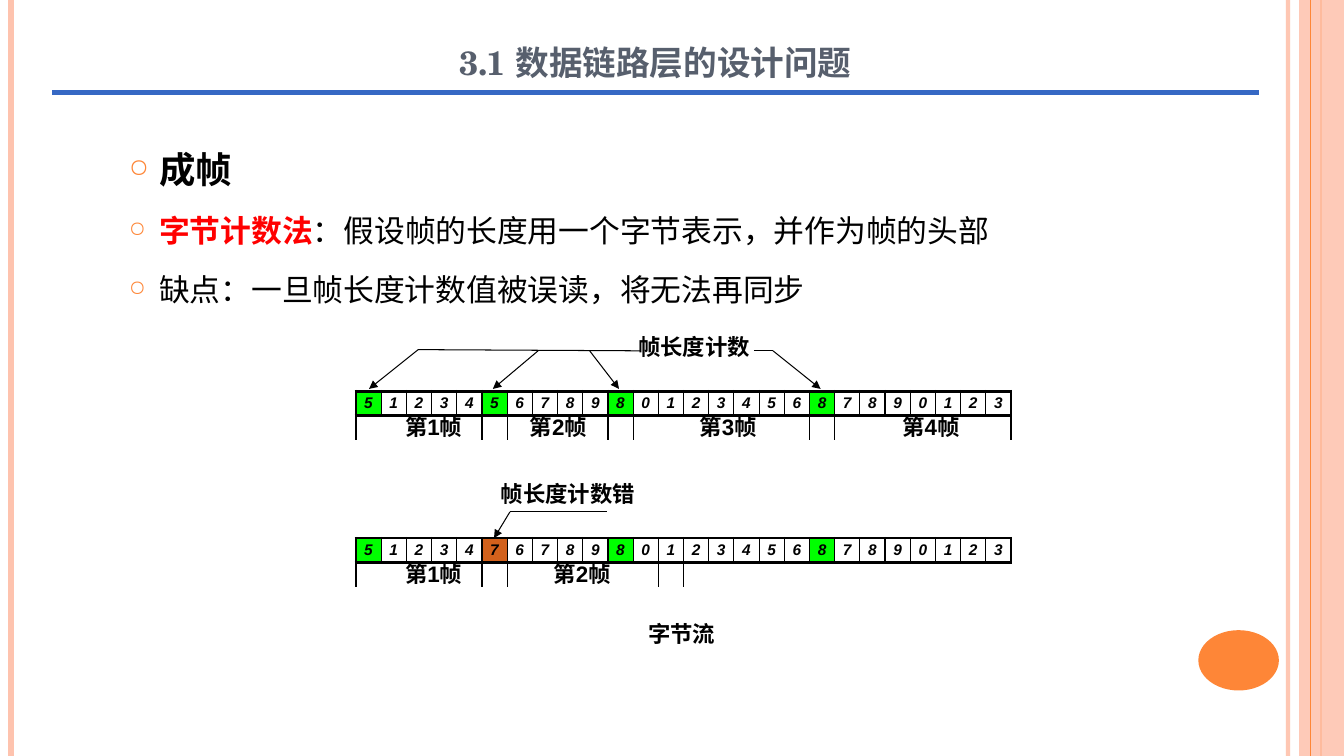
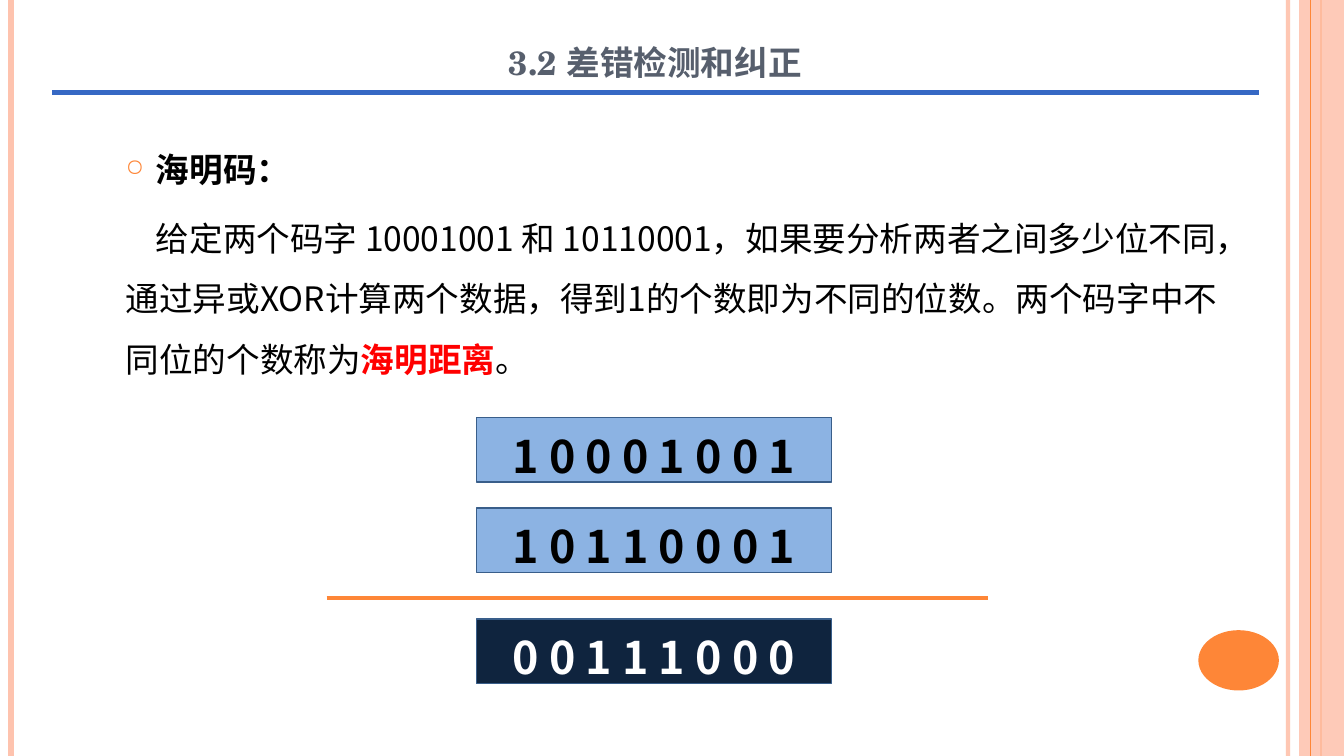
from lxml import etree
from pptx import Presentation
from pptx.dml.color import RGBColor
from pptx.enum.shapes import MSO_CONNECTOR, MSO_SHAPE
from pptx.enum.text import MSO_ANCHOR, MSO_AUTO_SIZE, PP_ALIGN
from pptx.oxml.ns import qn
from pptx.util import Cm, Pt

STRAIGHT = MSO_CONNECTOR.STRAIGHT
RECT, OVAL = MSO_SHAPE.RECTANGLE, MSO_SHAPE.OVAL
TOP, MIDDLE, BOTTOM = MSO_ANCHOR.TOP, MSO_ANCHOR.MIDDLE, MSO_ANCHOR.BOTTOM
LEFT, CENTER = PP_ALIGN.LEFT, PP_ALIGN.CENTER

# Shared look
COLORS = {
    "black": "000000", "white": "FFFFFF", "red": "FF0000", "title": "575F6D",
    "rule": "3668C4", "orange": "FE8637", "peach": "FEC3AE", "count": "00FF00",
    "error": "D2611C", "word": "8CB3E3", "result": "0F243E", "edge": "395E8A",
}
CJK, SERIF, SANS = "Noto Sans CJK SC", "TeX Gyre Schola", "Arial"
WIDTH, HEIGHT = 33.87, 19.05
NO_GRID_STYLE = "{2D5ABB26-0587-4C30-8999-92F81FD0307C}"

# x, colour, line width, opacity
SIDE_LINES = [(32.46, "peach", 3, 93), (0.28, "peach", 4.5, 100), (33.3, "orange", 1.5, 100)]
INNER_LINE = (33.02, "orange", 0.75, 100)

TITLE = {"size": Pt(30), "bold": True, "name": SERIF}
HEADING = {"size": Pt(26), "bold": True, "name": CJK}
POINT = {"size": Pt(22), "bold": False, "name": CJK}
TERM = {"size": Pt(22), "bold": True, "name": CJK}
LABEL = {"size": Pt(16), "bold": True, "name": SANS}
CAPTION = {"size": Pt(16), "bold": True, "name": CJK}
DIGIT = {"size": Pt(11), "bold": True, "italic": True, "name": SANS}
CODE_HEADING = {"size": Pt(24), "bold": True, "name": SERIF}
PROSE = {"size": Pt(24), "bold": False, "name": CJK}
DISTANCE = {"size": Pt(24), "bold": True, "name": CJK}
BITS = {"size": Pt(32), "bold": True, "name": CJK}

# Slide 1 content
FRAMING_TITLE = "3.1 数据链路层的设计问题"
FRAMING_POINTS = [
    [("成帧", HEADING, "black")],
    [("字节计数法", TERM, "red"),
     ("：假设帧的长度用一个字节表示，并作为帧的头部", POINT, "black")],
    [("缺点：一旦帧长度计数值被误读，将无法再同步", POINT, "black")],
]
STREAM_LEFT, STREAM_WIDTH, ROW_HEIGHT = 8.97, 16.51, 0.61
THICK, THIN = 2.25, 1
STREAMS = [
    {"top": 9.86, "bytes": "51234567898012345687890123",
     "fills": {0: "count", 5: "count", 10: "count", 18: "count"},
     "bounds": {0: THICK, 5: THIN, 10: THIN, 18: THIN, 26: THICK},
     "frames": [("第1帧", 10.93), ("第2帧", 14.07), ("第3帧", 18.35), ("第4帧", 23.46)],
     "callout": ("帧长度计数", 17.49, 8.53),
     "lines": [(10.54, 8.81, 16.13, 8.84), (19, 8.84, 19.48, 8.84)],
     "arrows": [(10.54, 8.81, 9.3, 9.8), (13.56, 8.84, 12.42, 9.8),
                (14.86, 8.84, 15.6, 9.8), (19.48, 8.84, 20.68, 9.8)]},
    {"top": 13.56, "bytes": "51234767898012345687890123",
     "fills": {0: "count", 5: "error", 10: "count", 18: "count"},
     "bounds": {0: THICK, 5: THIN, 12: THIN},
     "frames": [("第1帧", 10.93), ("第2帧", 14.67)],
     "callout": ("帧长度计数错", 14.31, 12.22),
     "lines": [(12.85, 12.9, 15.29, 12.9)],
     "arrows": [(12.85, 12.9, 12.45, 13.56)]},
]
STREAM_CAPTION = "字节流"

# Slide 2 content
HAMMING_TITLE = "3.2 差错检测和纠正"
HAMMING_HEADING = [("海明码：", CODE_HEADING, "black")]
HAMMING_TEXT = [
    ("给定两个码字 10001001 和 10110001，如果要分析两者之间多少位不同，"
     "通过异或XOR计算两个数据，得到1的个数即为不同的位数。两个码字中不同位的个数称为",
     PROSE, "black"),
    ("海明距离", DISTANCE, "red"),
    ("。", PROSE, "black"),
]
CODEWORDS = [
    ("10001001", 10.52, "word", "black"),
    ("10110001", 12.8, "word", "black"),
    ("00111000", 15.6, "result", "white"),
]


def rgb(color):
    return RGBColor.from_string(COLORS[color])


def set_opacity(parent, percent):
    if percent < 100:
        color = parent.find(".//" + qn("a:srgbClr"))
        etree.SubElement(color, qn("a:alpha"), val=str(percent * 1000))


def add_line(slide, x1, y1, x2, y2, color="black", width=0.75, opacity=100, arrow=False):
    line = slide.shapes.add_connector(STRAIGHT, Cm(x1), Cm(y1), Cm(x2), Cm(y2))
    line.line.color.rgb = rgb(color)
    line.line.width = Pt(width)
    properties = line.element.spPr
    outline = properties.find(qn("a:ln"))
    set_opacity(outline, opacity)
    if arrow:
        etree.SubElement(outline, qn("a:tailEnd"), type="triangle")
    etree.SubElement(properties, qn("a:effectLst"))


def add_block(slide, kind, x, y, w, h, fill, edge=None, opacity=100):
    block = slide.shapes.add_shape(kind, Cm(x), Cm(y), Cm(w), Cm(h))
    block.shadow.inherit = False
    block.fill.solid()
    block.fill.fore_color.rgb = rgb(fill)
    set_opacity(block.element.spPr, opacity)
    if edge:
        block.line.color.rgb = rgb(edge)
        block.line.width = Pt(1)
    else:
        block.line.fill.background()
    return block


def write(paragraph, runs, **layout):
    for name, value in layout.items():
        setattr(paragraph, name, value)
    for text, style, color in runs:
        run = paragraph.add_run()
        run.text = text
        for name, value in style.items():
            setattr(run.font, name, value)
        run.font.color.rgb = rgb(color)
        etree.SubElement(run.font._element, qn("a:ea"), typeface=CJK)


def add_bullet(paragraph):
    properties = paragraph._p.get_or_add_pPr()
    properties.set("marL", str(Cm(0.76)))
    properties.set("indent", str(-Cm(0.76)))
    bullet_color = etree.SubElement(properties, qn("a:buClr"))
    etree.SubElement(bullet_color, qn("a:srgbClr"), val=COLORS["orange"])
    etree.SubElement(properties, qn("a:buSzPct"), val="70000")
    etree.SubElement(properties, qn("a:buChar"), char="○")


def prepare(frame, anchor=TOP):
    frame.word_wrap = True
    frame.auto_size = MSO_AUTO_SIZE.NONE
    frame.vertical_anchor = anchor
    return frame


def add_text(slide, x, y, w, h):
    return prepare(slide.shapes.add_textbox(Cm(x), Cm(y), Cm(w), Cm(h)).text_frame)


def add_label(slide, text, center, top):
    frame = add_text(slide, center - 2, top, 4, 0.6)
    frame.margin_top = frame.margin_bottom = 0
    write(frame.paragraphs[0], [(text, LABEL, "black")], alignment=CENTER, line_spacing=0.8)


def add_titled_slide(deck, text):
    slide = deck.slides.add_slide(deck.slide_layouts[5])
    # Side bands and badge
    for x, *style in SIDE_LINES:
        add_line(slide, x, 0, x, HEIGHT, *style)
    add_block(slide, RECT, 32.74, 0, WIDTH - 32.74, HEIGHT, "peach", opacity=87)
    x, *style = INNER_LINE
    add_line(slide, x, 0, x, HEIGHT, *style)
    add_block(slide, OVAL, 30.2, 15.88, 2.03, 1.52, "orange")
    # Title and rule
    add_line(slide, 1.32, 2.34, 31.72, 2.34, "rule", 3.5)
    title = slide.shapes.title
    place = {"left": 5.72, "top": 0, "width": 21.59, "height": 2.24}
    for name, value in place.items():
        setattr(title, name, Cm(value))
    paragraph = prepare(title.text_frame, BOTTOM).paragraphs[0]
    write(paragraph, [(text, TITLE, "title")], alignment=CENTER)
    paragraph.runs[0].font._element.set("cap", "small")
    return slide


def set_borders(cell, widths):
    properties = cell._tc.get_or_add_tcPr()
    sides = [side for side in "LRTB" if widths.get(side)]
    for index, side in enumerate(sides):
        border = etree.Element(qn("a:ln" + side), w=str(Pt(widths[side])))
        fill = etree.SubElement(border, qn("a:solidFill"))
        etree.SubElement(fill, qn("a:srgbClr"), val=COLORS["black"])
        properties.insert(index, border)


def add_stream(slide, stream):
    count = len(stream["bytes"])
    table = slide.shapes.add_table(2, count, Cm(STREAM_LEFT), Cm(stream["top"]),
                                   Cm(STREAM_WIDTH), Cm(2 * ROW_HEIGHT)).table
    table.first_row = table.horz_banding = False
    table._tbl.tblPr.find(qn("a:tableStyleId")).text = NO_GRID_STYLE
    for column in table.columns:
        column.width = Cm(STREAM_WIDTH / count)
    byte_bounds = {i: THICK if i in (0, count) else THIN for i in range(count + 1)}
    for row, bounds in enumerate((byte_bounds, stream["bounds"])):
        table.rows[row].height = Cm(ROW_HEIGHT)
        for col, byte in enumerate(stream["bytes"]):
            cell = table.cell(row, col)
            for side in ("left", "right", "top", "bottom"):
                setattr(cell, "margin_" + side, Cm(0.05))
            cell.vertical_anchor = MIDDLE
            paragraph = cell.text_frame.paragraphs[0]
            if row == 0:
                write(paragraph, [(byte, DIGIT, "black")], alignment=CENTER)
            else:
                etree.SubElement(paragraph._p, qn("a:endParaRPr"), sz="800")
            if row == 0 and col in stream["fills"]:
                cell.fill.solid()
                cell.fill.fore_color.rgb = rgb(stream["fills"][col])
            else:
                cell.fill.background()
            set_borders(cell, {"L": bounds.get(col), "R": bounds.get(col + 1),
                               "T": THICK, "B": THICK if row == 0 else None})


def build_framing(deck):
    slide = add_titled_slide(deck, FRAMING_TITLE)
    body = add_text(slide, 3, 3.2, 22.6, 5.13)
    for index, runs in enumerate(FRAMING_POINTS):
        paragraph = body.add_paragraph() if index else body.paragraphs[0]
        add_bullet(paragraph)
        write(paragraph, runs, line_spacing=1.35, space_before=Pt(6 if index else 0))
    # Byte streams with callouts and frame labels
    for stream in STREAMS:
        for ends in stream["lines"]:
            add_line(slide, *ends)
        for ends in stream["arrows"]:
            add_line(slide, *ends, arrow=True)
        add_stream(slide, stream)
        add_label(slide, *stream["callout"])
        for text, center in stream["frames"]:
            add_label(slide, text, center, stream["top"] + 0.68)
    caption = add_text(slide, 12.95, 15.37, 8.46, 1.02)
    write(caption.paragraphs[0], [(STREAM_CAPTION, CAPTION, "black")],
          alignment=CENTER, line_spacing=1.2)


def build_hamming(deck):
    slide = add_titled_slide(deck, HAMMING_TITLE)
    body = add_text(slide, 2.92, 3.12, 28.8, 7.77)
    heading, explanation = body.paragraphs[0], body.add_paragraph()
    add_bullet(heading)
    write(heading, HAMMING_HEADING, line_spacing=1.5)
    explanation._p.get_or_add_pPr().set("indent", str(Cm(0.76)))
    write(explanation, HAMMING_TEXT, line_spacing=1.5, space_before=Pt(6))
    # XOR of the two codewords
    for bits, top, fill, color in CODEWORDS:
        block = add_block(slide, RECT, 12.01, top, 8.94, 1.63, fill, "edge")
        frame = prepare(block.text_frame, MIDDLE)
        write(frame.paragraphs[0], [(" ".join(bits), BITS, color)],
              alignment=CENTER, line_spacing=1.2)
    add_line(slide, 8.23, 15.06, 24.89, 15.06, "orange", 3)


def main():
    deck = Presentation()
    deck.slide_width, deck.slide_height = Cm(WIDTH), Cm(HEIGHT)
    build_framing(deck)
    build_hamming(deck)
    deck.save("out.pptx")


if __name__ == "__main__":
    main()
